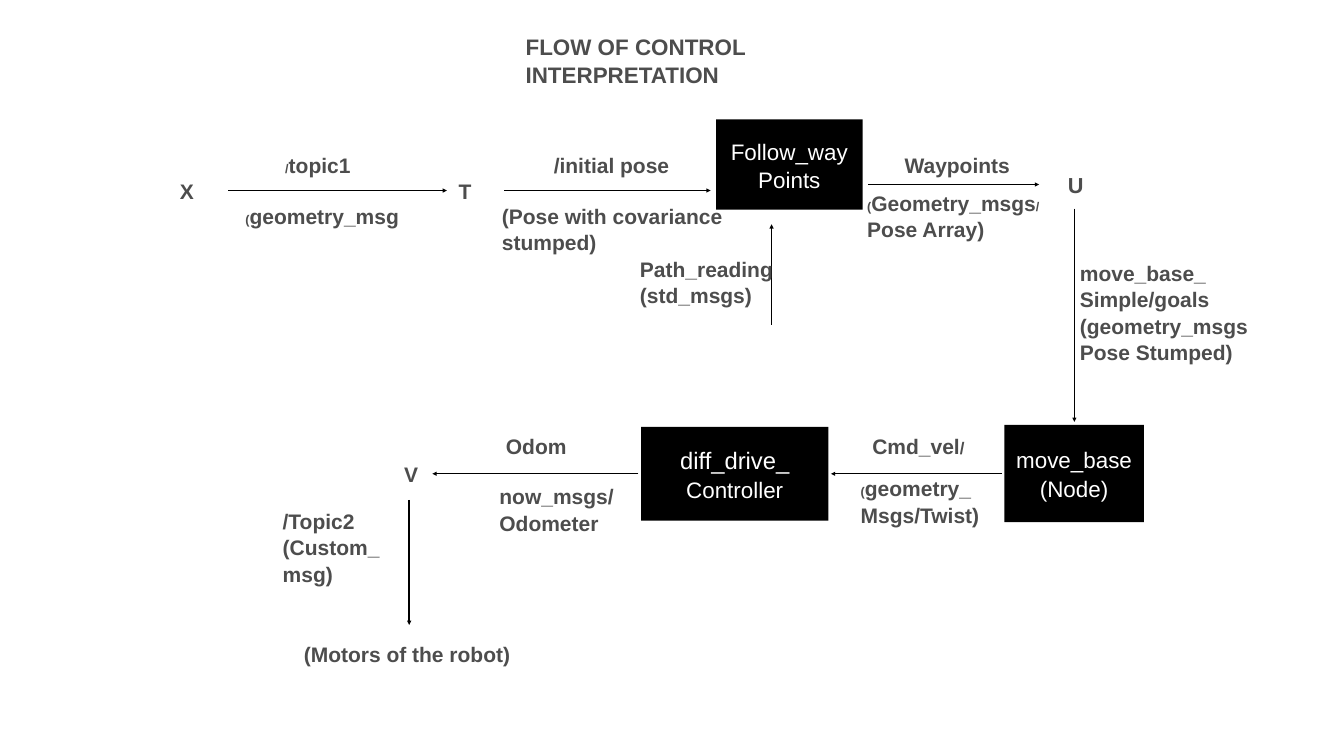
from dataclasses import dataclass

from lxml import etree
from pptx import Presentation
from pptx.dml.color import RGBColor
from pptx.enum.shapes import MSO_CONNECTOR, MSO_SHAPE
from pptx.enum.text import MSO_ANCHOR, MSO_AUTO_SIZE, PP_ALIGN
from pptx.oxml.ns import qn
from pptx.util import Inches, Pt

STRAIGHT = MSO_CONNECTOR.STRAIGHT
RECTANGLE = MSO_SHAPE.RECTANGLE
MIDDLE = MSO_ANCHOR.MIDDLE
GROW = MSO_AUTO_SIZE.SHAPE_TO_FIT_TEXT
FIXED = MSO_AUTO_SIZE.NONE
LEFT, CENTER = PP_ALIGN.LEFT, PP_ALIGN.CENTER
TITLE_ONLY = 5


@dataclass(frozen=True)
class Theme:
    """Colours, type sizes and spacing of the diagram."""
    font: str = "Arial"
    ink: RGBColor = RGBColor(0x4D, 0x4D, 0x4D)
    node_fill: RGBColor = RGBColor(0, 0, 0)
    node_text: RGBColor = RGBColor(255, 255, 255)
    title: int = 32
    node: int = 32
    node_large: int = 34
    label: int = 30
    state_large: int = 31
    slash: int = 24
    mark: int = 18
    line: int = 2
    inset: float = 0.06
    spacing: float = 1.05
    first_line: float = 0.57
    next_line: float = 0.47


THEME = Theme()


@dataclass(frozen=True)
class Region:
    """A part of the slide whose contents are placed from its top left corner."""
    slide: object
    left: float
    top: float

    def place(self, x, y):
        """Turn a position in the region into slide lengths."""
        return Inches(self.left + x), Inches(self.top + y)


def write_text(frame, paragraphs, size, color, bold, align):
    """Fill a frame with paragraphs, each a string or a list of sized runs."""
    frame.vertical_anchor = MIDDLE
    inset = Inches(THEME.inset)
    frame.margin_left = frame.margin_right = inset
    frame.margin_top = frame.margin_bottom = inset
    for index, content in enumerate(paragraphs):
        paragraph = frame.add_paragraph() if index else frame.paragraphs[0]
        paragraph.alignment = align
        paragraph.line_spacing = THEME.spacing
        runs = [(content, size)] if isinstance(content, str) else content
        for words, points in runs:
            run = paragraph.add_run()
            run.text = words
            run.font.name = THEME.font
            run.font.size = Pt(points)
            run.font.bold = bold
            run.font.color.rgb = color


def add_label(region, x, y, width, paragraphs, wrapped_lines=0, size=THEME.label):
    """Add a bold label whose height follows from its number of lines."""
    extra_lines = len(paragraphs) - 1 + wrapped_lines
    height = THEME.first_line + extra_lines * THEME.next_line
    label = region.slide.shapes.add_textbox(
        *region.place(x, y), Inches(width), Inches(height))
    label.text_frame.word_wrap = wrapped_lines > 0
    label.text_frame.auto_size = GROW
    write_text(label.text_frame, paragraphs, size, THEME.ink, True, LEFT)


def add_node(region, x, y, width, height, paragraphs):
    """Add a black process box with centred white text."""
    node = region.slide.shapes.add_shape(
        RECTANGLE, *region.place(x, y), Inches(width), Inches(height))
    node.shadow.inherit = False
    node.fill.solid()
    node.fill.fore_color.rgb = THEME.node_fill
    node.line.fill.background()
    node.text_frame.word_wrap = True
    write_text(node.text_frame, paragraphs, THEME.node, THEME.node_text, False, CENTER)


def add_arrow(region, start, end):
    """Add a straight arrow pointing at its end."""
    arrow = region.slide.shapes.add_connector(
        STRAIGHT, *region.place(*start), *region.place(*end))
    arrow.line.color.rgb = THEME.node_fill
    arrow.line.width = Pt(THEME.line)
    etree.SubElement(arrow.line._get_or_add_ln(), qn("a:tailEnd"), type="triangle")
    etree.SubElement(arrow._element.spPr, qn("a:effectLst"))


def draw_title(region, width, height):
    """Move the title placeholder into the heading box."""
    title = region.slide.shapes.title
    title.left, title.top = region.place(0, 0)
    title.width, title.height = Inches(width), Inches(height)
    title.text_frame.word_wrap = False
    title.text_frame.auto_size = FIXED
    write_text(title.text_frame, ["FLOW OF CONTROL INTERPRETATION"],
               THEME.title, THEME.ink, True, LEFT)


def draw_waypoint_flow(region):
    """Draw the upper row from X to U."""
    add_node(region, 10.71, 0, 2.91, 1.79, ["Follow_way", "Points"])
    for start, end in (
        ((1.03, 1.41), (5.37, 1.41)),
        ((6.51, 1.41), (10.6, 1.41)),
        ((13.73, 1.29), (17.12, 1.29)),
        ((11.81, 4.07), (11.81, 2.08)),
    ):
        add_arrow(region, start, end)
    add_label(region, 0.01, 1.12, 0.55, ["X"])
    add_label(region, 5.54, 1.12, 0.38, ["T"])
    add_label(region, 17.63, 1, 0.38, ["U"], size=THEME.state_large)
    add_label(region, 2.1, 0.61, 1.42, [[("/", THEME.mark), ("topic1", THEME.label)]])
    add_label(region, 1.31, 1.63, 3.17,
              [[("(", THEME.mark), ("geometry_msg", THEME.label)]])
    add_label(region, 7.43, 0.61, 2.42, ["/initial pose"])
    add_label(region, 6.4, 1.64, 4.62, ["(Pose with covariance", "stumped)"])
    add_label(region, 14.39, 0.61, 2.22, ["Waypoints"])
    add_label(region, 13.65, 1.39, 3.54, [
        [("(", THEME.mark), ("Geometry_msgs", THEME.label), ("/", THEME.mark)],
        "Pose Array)"])
    add_label(region, 9.14, 2.69, 2.76, ["Path_reading", "(std_msgs)"])


def draw_goal_link(region):
    """Draw the descent from U to the move_base node."""
    add_arrow(region, (0, 0), (0, 4.23))
    add_label(region, 0.05, 1.06, 3.46,
              ["move_base_", "Simple/goals", "(geometry_msgs", "Pose Stumped)"])


def draw_drive_flow(region):
    """Draw the lower row from the move_base node back to V."""
    add_node(region, 11.97, 0, 2.77, 1.93, ["move_base", "(Node)"])
    add_node(region, 4.76, 0.04, 3.72, 1.86,
             [[("diff_drive_", THEME.node_large)], "Controller"])
    add_arrow(region, (11.92, 0.97), (8.53, 0.97))
    add_arrow(region, (4.71, 0.97), (0.62, 0.97))
    add_label(region, 9.29, 0.13, 1.95,
              [[("Cmd_vel", THEME.label), ("/", THEME.slash)]])
    add_label(region, 9.06, 0.99, 2.48,
              [[("(", THEME.mark), ("geometry_", THEME.label)], "Msgs/Twist)"])
    add_label(region, 2.02, 0.13, 1.33, ["Odom"])
    add_label(region, 1.89, 1.15, 2.39, ["now_msgs/", "Odometer"])
    add_label(region, 0, 0.68, 0.4, ["V"])


def draw_motor_link(region):
    """Draw the descent from V to the motors."""
    add_arrow(region, (2.57, 0), (2.57, 2.48))
    add_label(region, 0, 0.17, 2.3, ["/Topic2", "(Custom_msg)"], wrapped_lines=1)
    add_label(region, 0.42, 2.76, 4.22, ["(Motors of the robot)"])


def main():
    """Build and save the control flow slide."""
    deck = Presentation()
    deck.slide_width, deck.slide_height = Inches(26.67), Inches(15)
    slide = deck.slides.add_slide(deck.slide_layouts[TITLE_ONLY])
    draw_title(Region(slide, 10.37, 0.88), 8.45, 0.61)
    draw_waypoint_flow(Region(slide, 3.5, 2.37))
    draw_goal_link(Region(slide, 21.32, 4.14))
    draw_drive_flow(Region(slide, 7.96, 8.43))
    draw_motor_link(Region(slide, 5.55, 9.92))
    deck.save("out.pptx")


if __name__ == "__main__":
    main()
